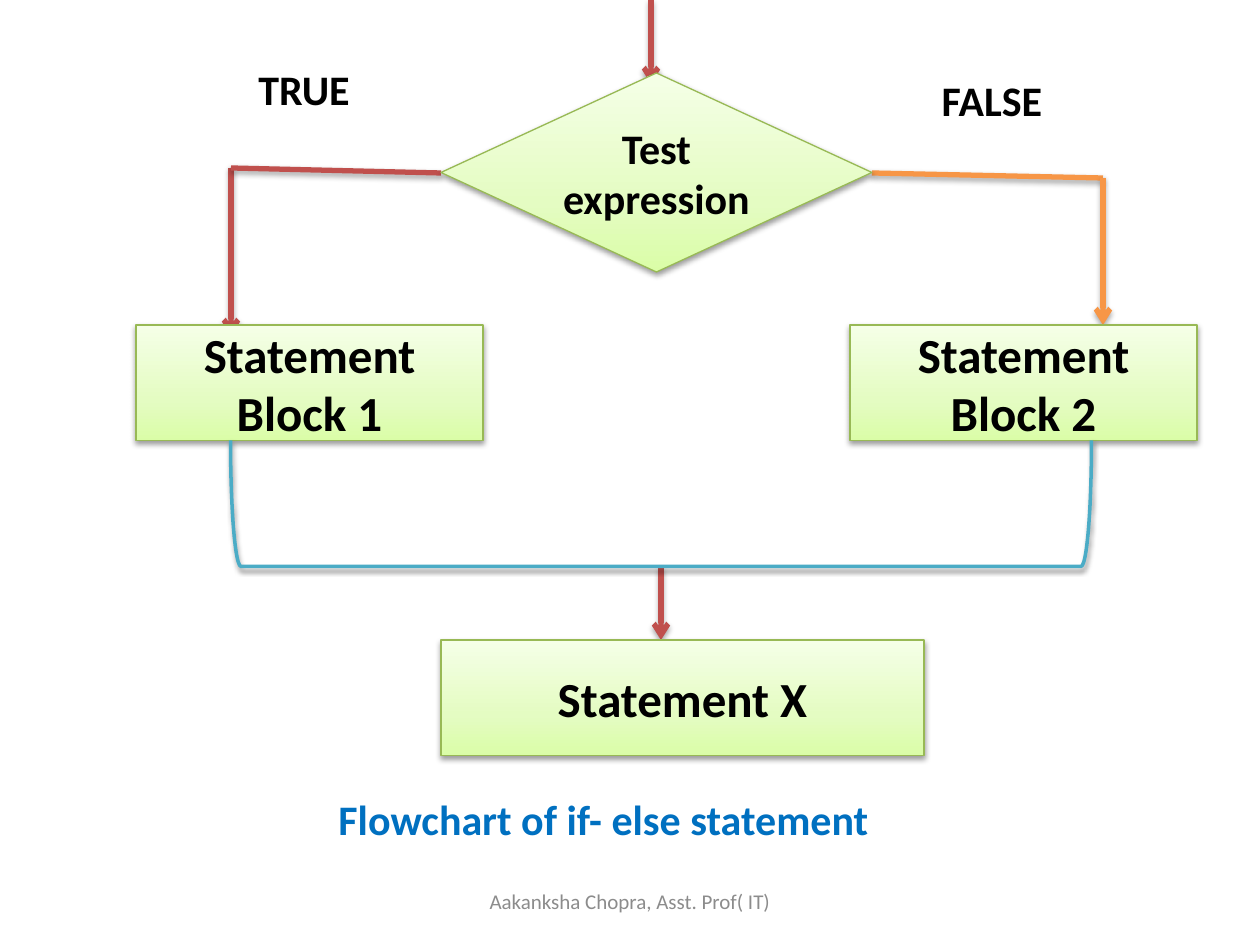
import copy
import pptx
import pptx.util
import pptx.oxml
import pptx.oxml.ns
import pptx.dml.color
import pptx.enum.shapes
import pptx.enum.text

SCALE = 914400 // 126
COLORS = {
    "black": "000000", "white": "FFFFFF", "caption": "0070C0", "footer": "8C8C8C",
    "border": "98B955", "red": "C0504D", "orange": "F79646", "teal": "4BACC6",
}
GREEN_STOPS = [(0, "DAFDA7"), (35, "E4FCC2"), (100, "F5FFE7")]
SHAPES = pptx.enum.shapes.MSO_SHAPE
rgb = pptx.dml.color.RGBColor.from_string


def add_shadow(item, distance, opacity):
    item._element.spPr.append(pptx.oxml.parse_xml(
        f'<a:effectLst {pptx.oxml.ns.nsdecls("a")}>'
        f'<a:outerShdw blurRad="40000" dist="{distance}" dir="5400000" rotWithShape="0">'
        f'<a:srgbClr val="000000"><a:alpha val="{opacity * 1000}"/></a:srgbClr>'
        '</a:outerShdw></a:effectLst>'))


def write_text(box, text, size, color, bold=True):
    frame = box.text_frame
    frame.word_wrap = True
    frame.vertical_anchor = pptx.enum.text.MSO_ANCHOR.MIDDLE
    frame.text = text
    para = frame.paragraphs[0]
    para.alignment = pptx.enum.text.PP_ALIGN.CENTER
    font = para.runs[0].font
    font.name, font.size, font.bold = "Calibri", pptx.util.Pt(size), bold
    font.color.rgb = rgb(COLORS[color])


deck = pptx.Presentation()
deck.slide_width, deck.slide_height = 1260 * SCALE, 945 * SCALE
page = deck.slides.add_slide(deck.slide_layouts[6])

# Flow lines: start, end, colour, arrowhead; the first two lie behind the blocks
flow_lines = [
    (651, 0, 651, 84, "red", True),
    (231, 168, 231, 336, "red", True),
    (872, 173, 1103, 178, "orange", False),
    (1103, 178, 1103, 325, "orange", True),
    (231, 168, 441, 173, "red", False),
    (661, 567, 661, 640, "red", True),
]
for *ends, color, has_arrow in flow_lines:
    line = page.shapes.add_connector(
        pptx.enum.shapes.MSO_CONNECTOR.STRAIGHT, *[value * SCALE for value in ends])
    line.line.color.rgb = rgb(COLORS[color])
    line.line.width = pptx.util.Pt(3)
    if has_arrow:
        line.line._get_or_add_ln().append(pptx.oxml.parse_xml(
            f'<a:tailEnd {pptx.oxml.ns.nsdecls("a")} type="arrow"/>'))
    add_shadow(line, 23000, 35)

# Green decision and statement blocks
blocks = [
    (SHAPES.FLOWCHART_DECISION, 441, 73, 431, 199, "Test expression", 24),
    (SHAPES.RECTANGLE, 136, 325, 347, 116, "Statement Block 1", 28),
    (SHAPES.RECTANGLE, 850, 325, 347, 116, "Statement Block 2", 28),
    (SHAPES.RECTANGLE, 441, 640, 483, 116, "Statement X", 28),
]
for kind, *place, text, size in blocks:
    block = page.shapes.add_shape(kind, *[value * SCALE for value in place])
    block.fill.gradient()
    block.fill.gradient_angle = 90
    stop_list = block._element.spPr.find(".//" + pptx.oxml.ns.qn("a:gsLst"))
    stop_list.append(copy.deepcopy(stop_list[-1]))
    for stop, (position, color) in zip(block.fill.gradient_stops, GREEN_STOPS):
        stop.position = position / 100
        stop.color.rgb = rgb(color)
    block.line.color.rgb = rgb(COLORS["border"])
    block.line.width = pptx.util.Pt(0.75)
    add_shadow(block, 20000, 38)
    write_text(block, text, size, "black")

# Branch labels and caption
labels = [
    (199, 52, 210, 74, "TRUE", "black"),
    (892, 52, 200, 95, "FALSE", "black"),
    (231, 787, 745, 63, "Flowchart of if- else statement", "caption"),
]
for *place, text, color in labels:
    label = page.shapes.add_shape(SHAPES.RECTANGLE, *[value * SCALE for value in place])
    label.shadow.inherit = False
    label.fill.solid()
    label.fill.fore_color.rgb = rgb(COLORS["white"])
    label.line.fill.background()
    write_text(label, text, 24, color)

# Bracket joining both branches
bracket = page.shapes.add_shape(
    SHAPES.RIGHT_BRACKET, *[value * SCALE for value in (598, 73, 126, 861)])
bracket.rotation = 90
bracket.fill.background()
bracket.line.color.rgb = rgb(COLORS["teal"])
bracket.line.width = pptx.util.Pt(2)
add_shadow(bracket, 20000, 38)

# Footer
footer = page.shapes.add_textbox(*[value * SCALE for value in (430, 876, 400, 50)])
write_text(footer, "Aakanksha Chopra, Asst. Prof( IT)", 12, "footer", bold=False)

deck.save("out.pptx")
